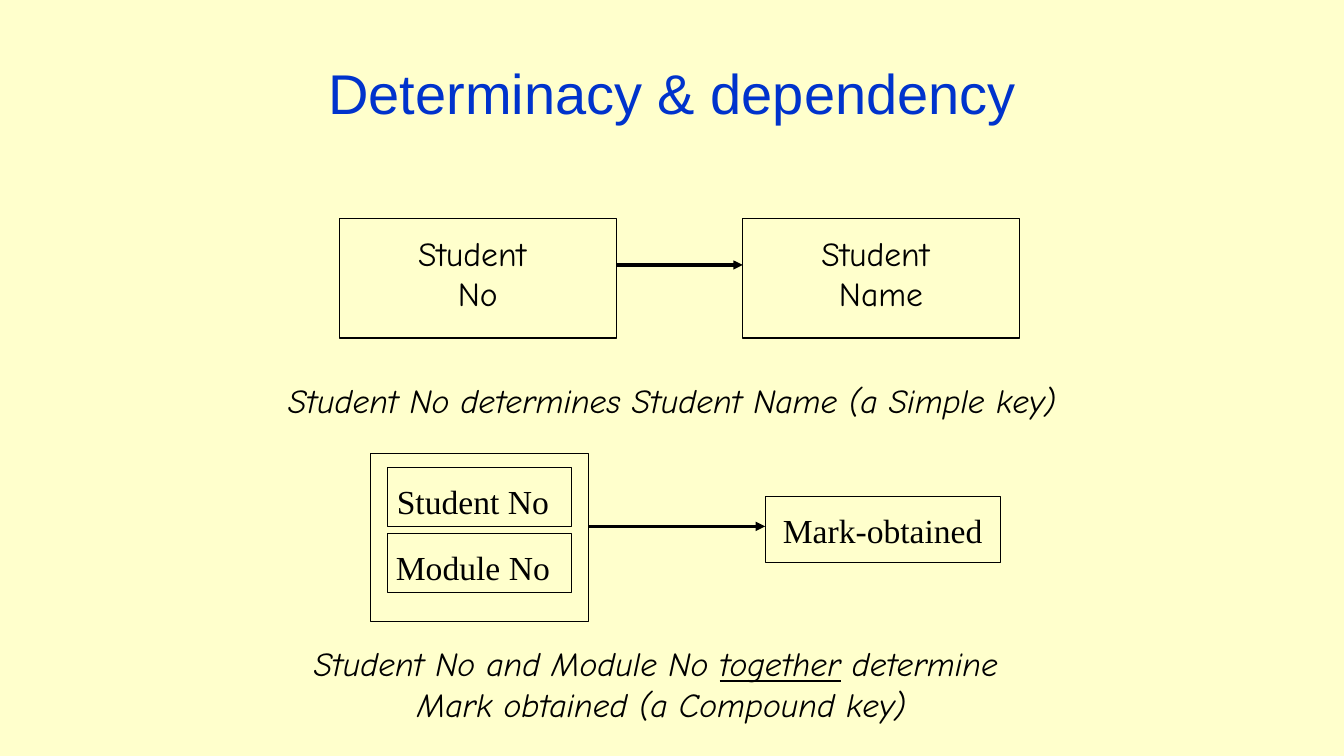
"""Builds a slide on determinacy and dependency between keys."""
from lxml.etree import SubElement
from pptx import Presentation
from pptx.dml.color import RGBColor
from pptx.enum.shapes import MSO_CONNECTOR, MSO_SHAPE
from pptx.enum.text import MSO_ANCHOR, PP_ALIGN
from pptx.oxml.ns import qn
from pptx.util import Pt


def color(hex_string):
    return RGBColor.from_string(hex_string)


class DiagramSlide:
    ink = "000000"
    background = "FFFFCC"
    title_color = "0033CC"
    hand_font = "Comic Neue"
    serif_font = "Times New Roman"
    title_font = "Arial"

    def __init__(self, presentation):
        self.slide = presentation.slides.add_slide(presentation.slide_layouts[6])
        fill = self.slide.background.fill
        fill.solid()
        fill.fore_color.rgb = color(self.background)

    def box(self, left, top, width, height):
        shape = self.slide.shapes.add_shape(
            MSO_SHAPE.RECTANGLE, Pt(left), Pt(top), Pt(width), Pt(height))
        shape.shadow.inherit = False
        shape.fill.background()
        shape.line.color.rgb = color(self.ink)
        shape.line.width = Pt(0.75)

    def arrow(self, left, right, y):
        connector = self.slide.shapes.add_connector(
            MSO_CONNECTOR.STRAIGHT, Pt(left), Pt(y), Pt(right), Pt(y))
        connector.line.color.rgb = color(self.ink)
        connector.line.width = Pt(2.25)
        SubElement(connector.line._get_or_add_ln(), qn("a:tailEnd"), type="triangle")
        SubElement(connector._element.spPr, qn("a:effectLst"))

    def text(self, text, left, top, width, height, *, font=hand_font, size=24,
             ink=ink, italic=False, underlined="", gap=0,
             anchor=MSO_ANCHOR.TOP, wrap=False):
        shape = self.slide.shapes.add_textbox(Pt(left), Pt(top), Pt(width), Pt(height))
        frame = shape.text_frame
        frame.word_wrap = wrap
        frame.vertical_anchor = anchor
        for index, line in enumerate(text.split("\n")):
            paragraph = frame.paragraphs[0] if index == 0 else frame.add_paragraph()
            paragraph.alignment = PP_ALIGN.CENTER
            paragraph.space_before = Pt(gap if index else 0)
            parts = line.partition(underlined) if underlined else (line,)
            for part in filter(None, parts):
                run = paragraph.add_run()
                run.text = part
                run.font.name = font
                run.font.size = Pt(size)
                run.font.italic = italic
                run.font.underline = part == underlined
                run.font.color.rgb = color(ink)


def main():
    presentation = Presentation()
    presentation.slide_width, presentation.slide_height = Pt(960), Pt(540)
    diagram = DiagramSlide(presentation)

    diagram.text("Determinacy & dependency", 174, 21, 612, 90,
                 font=diagram.title_font, size=40, ink=diagram.title_color,
                 anchor=MSO_ANCHOR.MIDDLE, wrap=True)

    for left, label in ((242.5, "Student \nNo"), (530.5, "Student \nName")):
        diagram.box(left, 156, 198, 85.5)
        diagram.text(label, left + 41.5, 162.5, 114.5, 65.5)
    diagram.arrow(440.5, 530.5, 189.25)
    diagram.text("Student No determines Student Name (a Simple key)",
                 171.5, 268, 617, 36.5, italic=True)

    diagram.box(546.5, 355, 168, 47)
    diagram.text("Mark-obtained", 551.5, 361, 158, 36, font=diagram.serif_font)
    diagram.box(264.5, 324, 156, 120)
    diagram.text("Student No\nModule No", 275, 340, 125.5, 85,
                 font=diagram.serif_font, gap=18.5)
    for top in (334.25, 381.25):
        diagram.box(276.5, top, 132, 42)
    diagram.arrow(420.5, 546.5, 376)
    diagram.text("Student No and Module No together determine \n"
                 "Mark obtained (a Compound key)",
                 193.5, 456, 558, 65.5, italic=True, underlined="together")

    presentation.save("out.pptx")


if __name__ == "__main__":
    main()
